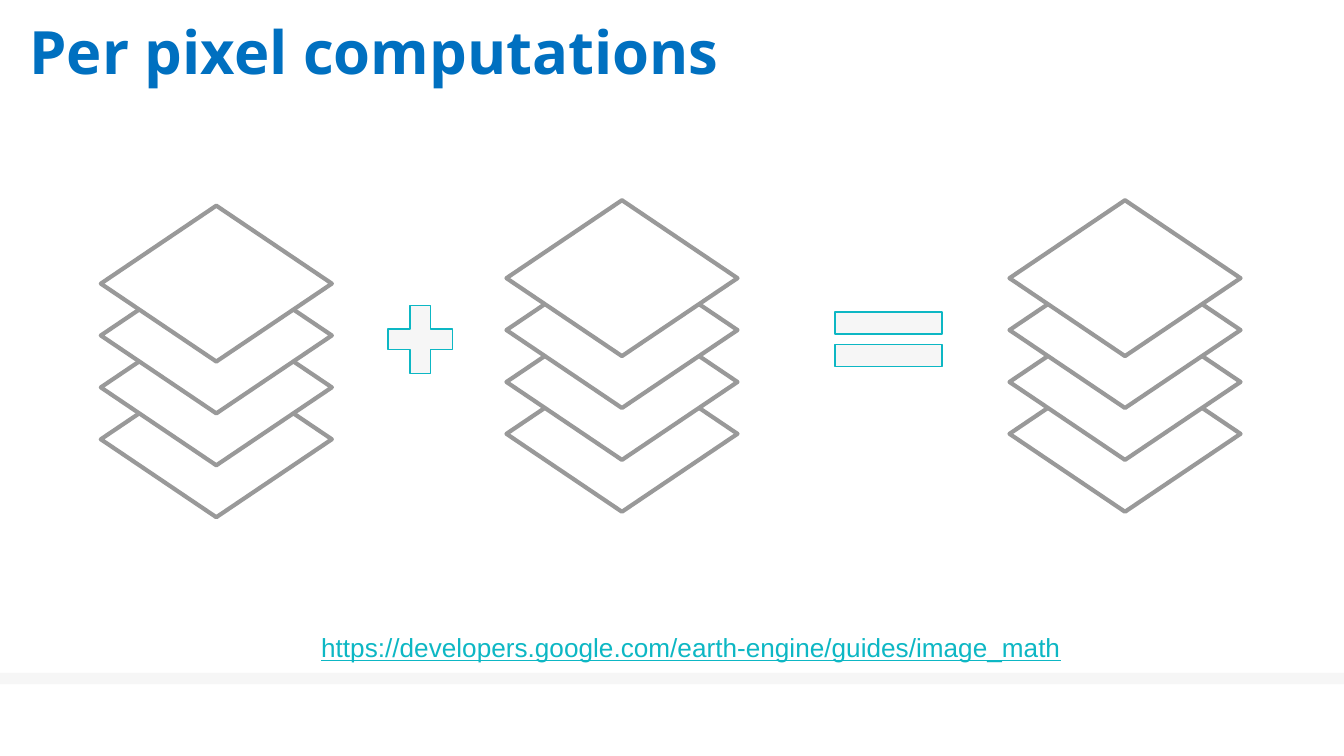
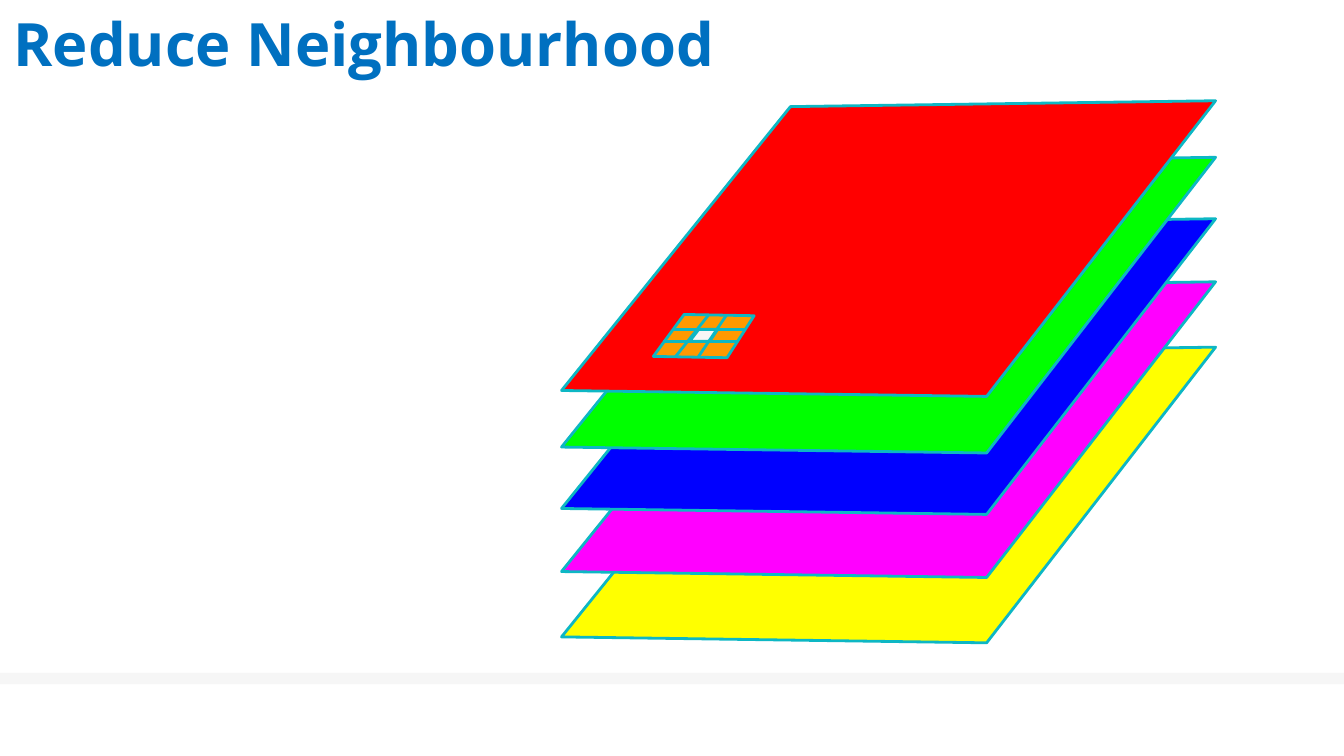
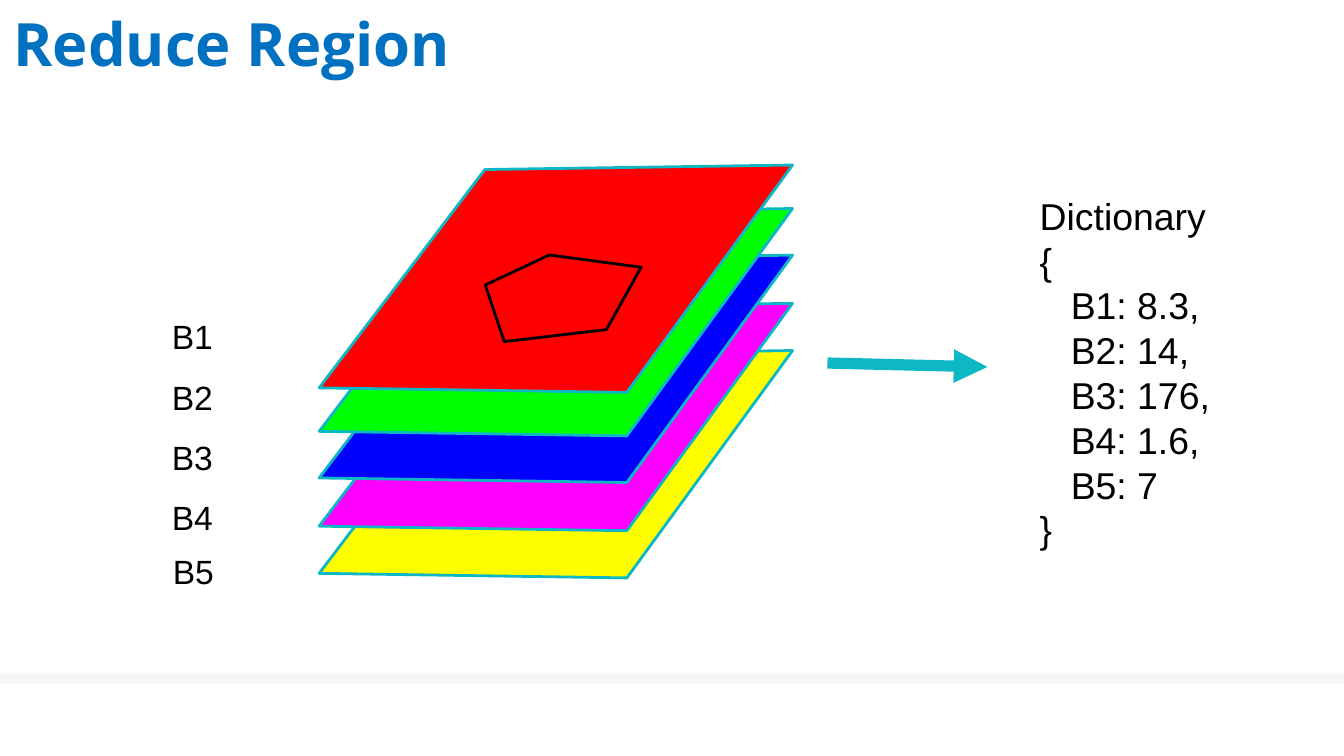
import pptx
import pptx.util
import pptx.dml.color
import pptx.enum.shapes
import pptx.enum.text
import pptx.oxml
import pptx.oxml.ns

Pt = pptx.util.Pt
SHAPE = pptx.enum.shapes.MSO_SHAPE
ANCHOR = pptx.enum.text.MSO_ANCHOR
ALIGN = pptx.enum.text.PP_ALIGN

COLORS = {
    "title": "0070C0",
    "accent": "0DB7C4",
    "pale": "F6F6F6",
    "white": "FFFFFF",
    "gray": "999999",
    "text": "000000",
    "window": "FF9900",
    "red": "FF0000",
    "green": "00FF00",
    "blue": "0000FF",
    "magenta": "FF00FF",
    "yellow": "FFFF00",
}
BANDS = ["red", "green", "blue", "magenta", "yellow"]
SHEET_OUTLINE = [(0, 0.98), (0.35, 0.02), (1, 0), (0.65, 1)]


def rgb(name):
    return pptx.dml.color.RGBColor.from_string(COLORS[name])


def style_shape(sp, fill=None, line=None, width=1.5):
    sp.shadow.inherit = False
    if fill:
        sp.fill.solid()
        sp.fill.fore_color.rgb = rgb(fill)
    else:
        sp.fill.background()
    if line:
        sp.line.color.rgb = rgb(line)
        sp.line.width = Pt(width)
    else:
        sp.line.fill.background()
    return sp


def add_preset(shapes, kind, box, fill, line=None, width=0.75):
    sp = shapes.add_shape(kind, *map(Pt, box))
    return style_shape(sp, fill, line, width)


def add_polygon(shapes, points, fill=None, line="accent"):
    pts = [(Pt(x), Pt(y)) for x, y in points]
    fb = shapes.build_freeform(*pts[0])
    fb.add_line_segments(pts[1:], close=True)
    return style_shape(fb.convert_to_shape(), fill, line)


def add_line(shapes, start, end, width=1.5, arrow=False):
    straight = pptx.enum.shapes.MSO_CONNECTOR.STRAIGHT
    cn = shapes.add_connector(straight, *map(Pt, start + end))
    cn.line.color.rgb = rgb("accent")
    cn.line.width = Pt(width)
    if arrow:
        tail = pptx.oxml.parse_xml(
            f'<a:tailEnd {pptx.oxml.ns.nsdecls("a")} type="triangle"/>')
        cn.line.fill
        cn.element.spPr.find(pptx.oxml.ns.qn("a:ln")).append(tail)
    cn.element.spPr.append(pptx.oxml.parse_xml(
        f'<a:effectLst {pptx.oxml.ns.nsdecls("a")}/>'))
    return cn


def set_insets(tf, inset):
    tf.margin_left = tf.margin_right = Pt(inset)
    tf.margin_top = tf.margin_bottom = Pt(inset)
    tf.word_wrap = True


def add_text(s, box, lines, size, inset=9, color="text", align=ALIGN.LEFT):
    tf = s.shapes.add_textbox(*map(Pt, box)).text_frame
    set_insets(tf, inset)
    for i, line in enumerate(lines):
        p = tf.add_paragraph() if i else tf.paragraphs[0]
        p.text = line
        p.alignment = align
        p.font.name = "Arial"
        p.font.size = Pt(size)
        p.font.color.rgb = rgb(color)
    return tf


def add_slide(prs, title, box=(0, 0, 610, 49), anchor=ANCHOR.BOTTOM):
    s = prs.slides.add_slide(prs.slide_layouts[5])
    sp = s.shapes.title
    sp.left, sp.top, sp.width, sp.height = map(Pt, box)
    tf = sp.text_frame
    tf.text = title
    tf.auto_size = pptx.enum.text.MSO_AUTO_SIZE.NONE
    tf.vertical_anchor = anchor
    set_insets(tf, 7.2)
    p = tf.paragraphs[0]
    p.alignment = ALIGN.LEFT
    font = p.runs[0].font
    font.name = "Open Sans"
    font.size = Pt(32)
    font.bold = True
    font.color.rgb = rgb("title")
    return s


def add_footer_band(s):
    band = add_preset(s.shapes, SHAPE.RECTANGLE, (0, 360.5, 720, 6), "pale")
    s.slide_layout.shapes.element.append(band.element)


def add_diamond_stack(s, left, top, count=4, step=27.8):
    shapes = s.shapes.add_group_shape().shapes
    for i in reversed(range(count)):
        box = (left, top + i * step, 123.8, 83.5)
        add_preset(shapes, SHAPE.FLOWCHART_DECISION, box, "white", "gray", 2.25)


def add_band_stack(s, left, width, height, tops):
    shapes = s.shapes.add_group_shape().shapes
    for band, top in reversed(list(zip(BANDS, tops))):
        points = [(left + x * width, top + y * height)
                  for x, y in SHEET_OUTLINE]
        add_polygon(shapes, points, band)
    return shapes


def add_pixel_window(shapes):
    add_polygon(shapes, [(366.5, 168.5), (350, 191), (389.5, 191.7),
                         (404, 169.2)], "window")
    add_polygon(shapes, [(374.4, 176.4), (369.4, 182.9), (380.2, 182.9),
                         (384.5, 176.4)], "pale")
    for start, end in [((379.4, 169), (361.8, 191.2)),
                       ((389.2, 168.8), (373.9, 191.5)),
                       ((360.3, 176.4), (399.3, 176.4)),
                       ((355.4, 182.9), (394.6, 182.9))]:
        add_line(shapes, start, end)


def build_pixel_slide(prs):
    s = add_slide(prs, "Per pixel computations", (8.6, 0.7, 671, 56),
                  ANCHOR.TOP)
    add_footer_band(s)
    for left, top in [(54, 110.2), (271.3, 107.3), (540.8, 107.3)]:
        add_diamond_stack(s, left, top)
    for kind, left, width in [(SHAPE.MATH_PLUS, 201.6, 47),
                              (SHAPE.MATH_EQUAL, 437, 78)]:
        add_preset(s.shapes, kind, (left, 157, width, 49.6), "pale", "accent")
    tf = add_text(
        s, (165, 331.2, 421, 34),
        ["https://developers.google.com/earth-engine/guides/image_math"],
        14, 7.2, "accent")
    tf.paragraphs[0].font.underline = True


def build_neighbourhood_slide(prs):
    s = add_slide(prs, "Reduce Neighbourhood")
    shapes = add_band_stack(s, 300.8, 350.4, 158.4,
                            [54, 84.3, 117.2, 151, 186])
    add_pixel_window(shapes)


def build_region_slide(prs):
    s = add_slide(prs, "Reduce Region")
    shapes = add_band_stack(s, 171, 253.6, 121.8,
                            [88.4, 111.7, 136.7, 162.5, 187.8])
    add_polygon(shapes, [(260, 152.7), (270.2, 183), (324.9, 176.6),
                         (343.5, 143.2), (294.3, 136.6)], line="text")
    add_line(s.shapes, (443.3, 194.5), (529, 196.6), 6, arrow=True)
    add_text(s, (548, 94.3, 172, 215),
             ["Dictionary", "{", "   B1: 8.3,", "   B2: 14,", "   B3: 176,",
              "   B4: 1.6,", "   B5: 7", "}"], 20)
    for i in range(4):
        add_text(s, (83, 160.5 + i * 32.3, 44.6, 36), [f"B{i + 1}"], 18)
    add_text(s, (79, 286, 44.6, 36), ["B5"], 18, align=ALIGN.RIGHT)


def main():
    prs = pptx.Presentation()
    prs.slide_width, prs.slide_height = Pt(720), Pt(405)
    build_pixel_slide(prs)
    build_neighbourhood_slide(prs)
    build_region_slide(prs)
    prs.save("out.pptx")


if __name__ == "__main__":
    main()
